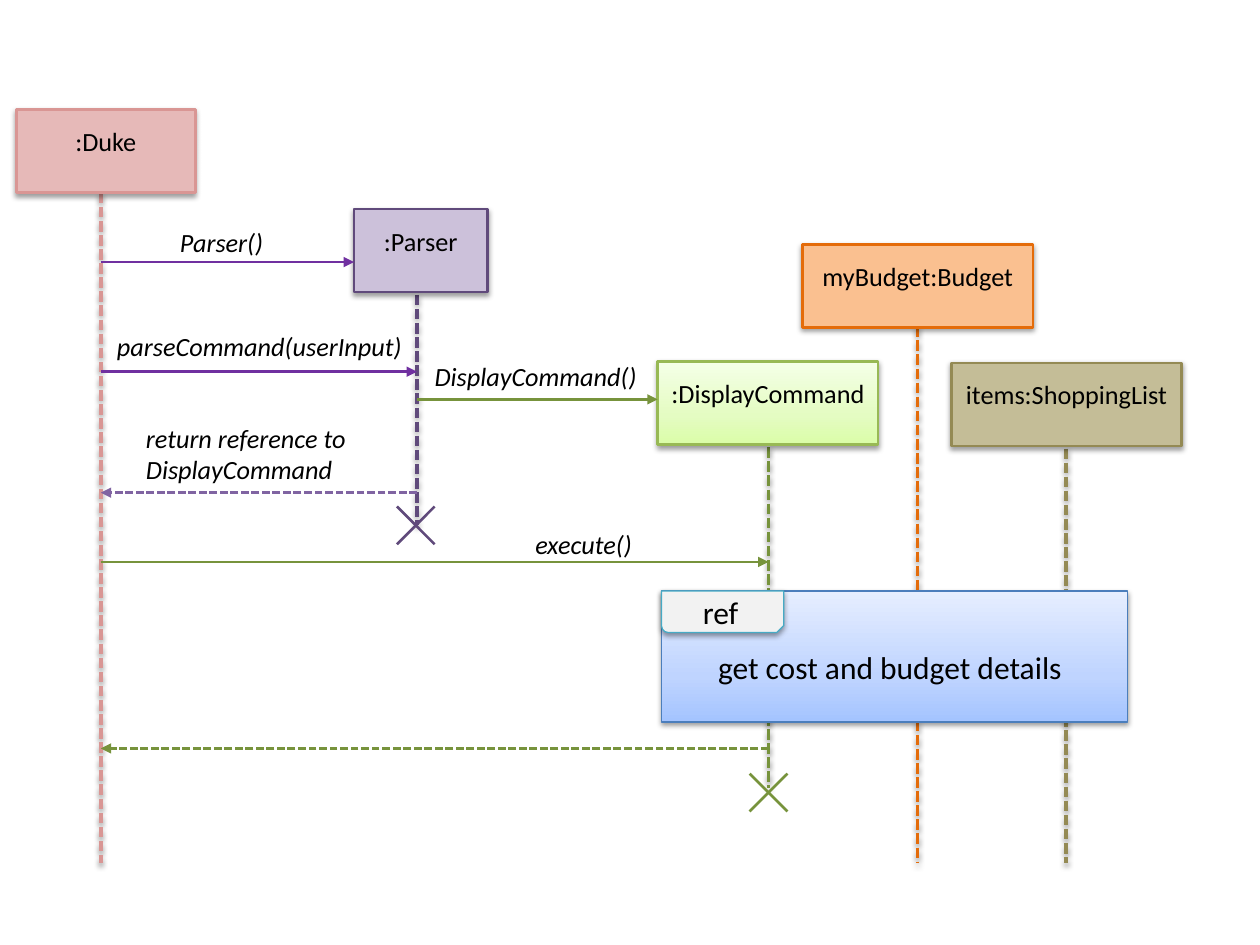
from lxml import etree
from pptx import Presentation
from pptx import util as u
from pptx.dml.color import RGBColor
from pptx.enum import dml, shapes, text
from pptx.oxml.ns import qn

COLS, ROWS = 10, 7.5  # grid of one-inch cells
BLACK = RGBColor(0, 0, 0)
PINK, ROSE = RGBColor(0xE6, 0xB9, 0xB8), RGBColor(0xD9, 0x96, 0x94)
LILAC, PLUM = RGBColor(0xCC, 0xC1, 0xDA), RGBColor(0x60, 0x4A, 0x7B)
PEACH, ORANGE = RGBColor(0xFA, 0xC0, 0x90), RGBColor(0xE4, 0x6C, 0x0A)
SAND, OLIVE = RGBColor(0xC4, 0xBD, 0x97), RGBColor(0x94, 0x8A, 0x54)
VIOLET, MAUVE = RGBColor(0x70, 0x30, 0xA0), RGBColor(0x80, 0x64, 0xA2)
GREEN, LIME = RGBColor(0x77, 0x93, 0x3C), RGBColor(0x98, 0xB9, 0x55)
BLUE, TEAL = RGBColor(0x4B, 0x7E, 0xBC), RGBColor(0x46, 0xAA, 0xC5)
GREY = RGBColor(0xF2, 0xF2, 0xF2)
LIME_FADE = [RGBColor(0xDA, 0xFD, 0xA7), RGBColor(0xE4, 0xFC, 0xC2), RGBColor(0xF5, 0xFF, 0xE7)]
BLUE_FADE = [RGBColor(0xA4, 0xC4, 0xFF), RGBColor(0xBF, 0xD4, 0xFF), RGBColor(0xE6, 0xEE, 0xFF)]
FADE_STOPS = (0, 35, 100)

prs = Presentation()
prs.slide_width, prs.slide_height = u.Inches(COLS), u.Inches(ROWS)
slide = prs.slides.add_slide(prs.slide_layouts[6])


def grid(*cells):
    """Turn columns and rows into slide lengths."""
    return [u.Inches(cell) for cell in cells]


def add(parent, tag, **attributes):
    """Append one DrawingML element."""
    child = etree.SubElement(parent, qn("a:" + tag))
    for key, value in attributes.items():
        child.set(key, str(value))
    return child


def set_shadow(item, visible):
    """Give a shape or connector a soft drop shadow, or none."""
    effects = add(item._element.spPr, "effectLst")
    if visible:
        outer = add(effects, "outerShdw", blurRad=u.Pt(3.1), dist=u.Pt(1.6),
                    dir=90 * 60000, rotWithShape=0)
        add(add(outer, "srgbClr", val="000000"), "alpha", val=38000)


def set_fade(shape, colours):
    """Fill a shape with a gradient running from bottom to top."""
    shape.fill.gradient()
    shape.fill.gradient_angle = 90
    stops = shape._element.spPr.find(qn("a:gradFill")).find(qn("a:gsLst"))
    for stop in list(stops):
        stops.remove(stop)
    for position, colour in zip(FADE_STOPS, colours):
        add(add(stops, "gs", pos=position * 1000), "srgbClr", val=colour)


def write(shape, words, size=15, italic=False, align=None, inset=0.05, spaced=True):
    """Write one formatted paragraph into a shape."""
    frame = shape.text_frame
    frame.word_wrap = True
    frame.auto_size = text.MSO_AUTO_SIZE.SHAPE_TO_FIT_TEXT
    frame.vertical_anchor = text.MSO_ANCHOR.TOP
    frame.margin_top = frame.margin_bottom = u.Inches(inset)
    paragraph = frame.paragraphs[0]
    if align is not None:
        paragraph.alignment = align
    if spaced:
        before = add(paragraph._p.get_or_add_pPr(), "spcBef")
        add(before, "spcPct", val=50000)
    run = paragraph.add_run()
    run.text = words
    run.font.name, run.font.size = "Calibri", u.Pt(size)
    run.font.italic = italic or None
    run.font.color.rgb = BLACK


def label(box, words, **style):
    """Place free text in a box."""
    write(slide.shapes.add_textbox(*grid(*box)), words, **style)


def panel(box, fill, edge, weight, kind=shapes.MSO_SHAPE.RECTANGLE):
    """Draw a shadowed shape with a plain or graded fill."""
    shape = slide.shapes.add_shape(kind, *grid(*box))
    if isinstance(fill, list):
        set_fade(shape, fill)
    else:
        shape.fill.solid()
        shape.fill.fore_color.rgb = fill
    shape.line.color.rgb, shape.line.width = edge, u.Pt(weight)
    set_shadow(shape, True)
    return shape


def stroke(start, end, colour, weight=1.5, dashed=False, arrow=False, shadow=False):
    """Draw a straight line between two grid points."""
    line = slide.shapes.add_connector(shapes.MSO_CONNECTOR.STRAIGHT, *grid(*start, *end))
    line.line.color.rgb, line.line.width = colour, u.Pt(weight)
    if dashed:
        line.line.dash_style = dml.MSO_LINE.SQUARE_DOT
    if arrow:
        add(line.line._get_or_add_ln(), "tailEnd", type="triangle")
    set_shadow(line, shadow)


def participant(box, name, fill, edge, axis, start, end, life):
    """Draw a lifeline and the named head box above it."""
    stroke((axis, start), (axis, end), life, weight=2, dashed=True, shadow=True)
    write(panel(box, fill, edge, 1.5), name, align=text.PP_ALIGN.CENTER, inset=0.2)


def message(start, end, row, colour, words="", box=None, reply=False):
    """Draw a call or a dashed reply along one row, with its label."""
    stroke((start, row), (end, row), colour, dashed=reply, arrow=True)
    if words:
        label(box, words, italic=True)


def destruction(column, row, colour, size=0.3):
    """Cross out the end of a lifeline."""
    half = size / 2
    for rise in (-half, half):
        stroke((column + half, row + rise), (column - half, row - rise), colour)


def reference(box, tag, words):
    """Draw a reference frame with a corner tag and a caption."""
    left, top, width, height = box
    panel(box, BLUE_FADE, BLUE, 0.75)
    corner = panel((left, top, 0.97, 0.33), GREY, TEAL, 0.75,
                   shapes.MSO_SHAPE.SNIP_ROUND_RECTANGLE)
    corner.rotation = 180
    corner._element.spPr.find(qn("a:xfrm")).set("flipH", "1")
    label((left + 0.35, top + 0.4, 2.99, 0.4), words, size=18, spaced=False)
    label((left + 0.23, top - 0.03, 0.56, 0.4), tag, size=18, spaced=False)


DUKE, PARSER, DISPLAY, BUDGET, ITEMS = 0.8, 3.31, 6.1, 7.28, 8.46
HEAD, FLOOR = 0.66, 6.85
PARTICIPANTS = [
    ((0.13, 0.87, 1.42, HEAD), ":Duke", PINK, ROSE, DUKE, 1.53, FLOOR, ROSE),
    ((2.81, 1.66, 1.06, HEAD), ":Parser", LILAC, PLUM, PARSER, 2.34, 4.17, PLUM),
    ((5.22, 2.87, 1.75, HEAD), ":DisplayCommand", LIME_FADE, LIME, DISPLAY, 3.55, 6.25, GREEN),
    ((6.37, 1.94, 1.83, HEAD), "myBudget:Budget", PEACH, ORANGE, BUDGET, 2.59, FLOOR, ORANGE),
    ((7.55, 2.88, 1.83, HEAD), "items:ShoppingList", SAND, OLIVE, ITEMS, 3.56, FLOOR, OLIVE),
]
MESSAGES = [
    (DUKE, 2.81, 2.08, VIOLET, "Parser()", (1.33, 1.75, 1.29, 0.35)),
    (DUKE, PARSER, 2.95, VIOLET, "parseCommand(userInput)", (0.83, 2.57, 2.73, 0.35)),
    (PARSER, 5.22, 3.17, GREEN, "DisplayCommand()", (3.35, 2.81, 1.82, 0.35)),
    (PARSER, DUKE, 3.91, MAUVE, "return reference to DisplayCommand",
     (1.06, 3.3, 1.87, 0.61), True),
    (DUKE, DISPLAY, 4.46, GREEN, "execute()", (4.15, 4.14, 0.97, 0.35)),
    (DISPLAY, DUKE, 5.94, GREEN, "", None, True),
]

for entry in PARTICIPANTS:
    participant(*entry)
for entry in MESSAGES:
    message(*entry)
destruction(3.3, 4.17, PLUM)
destruction(6.1, 6.29, GREEN)
reference((5.25, 4.69, 3.7, 1.04), "ref", "get cost and budget details")

prs.save("out.pptx")
